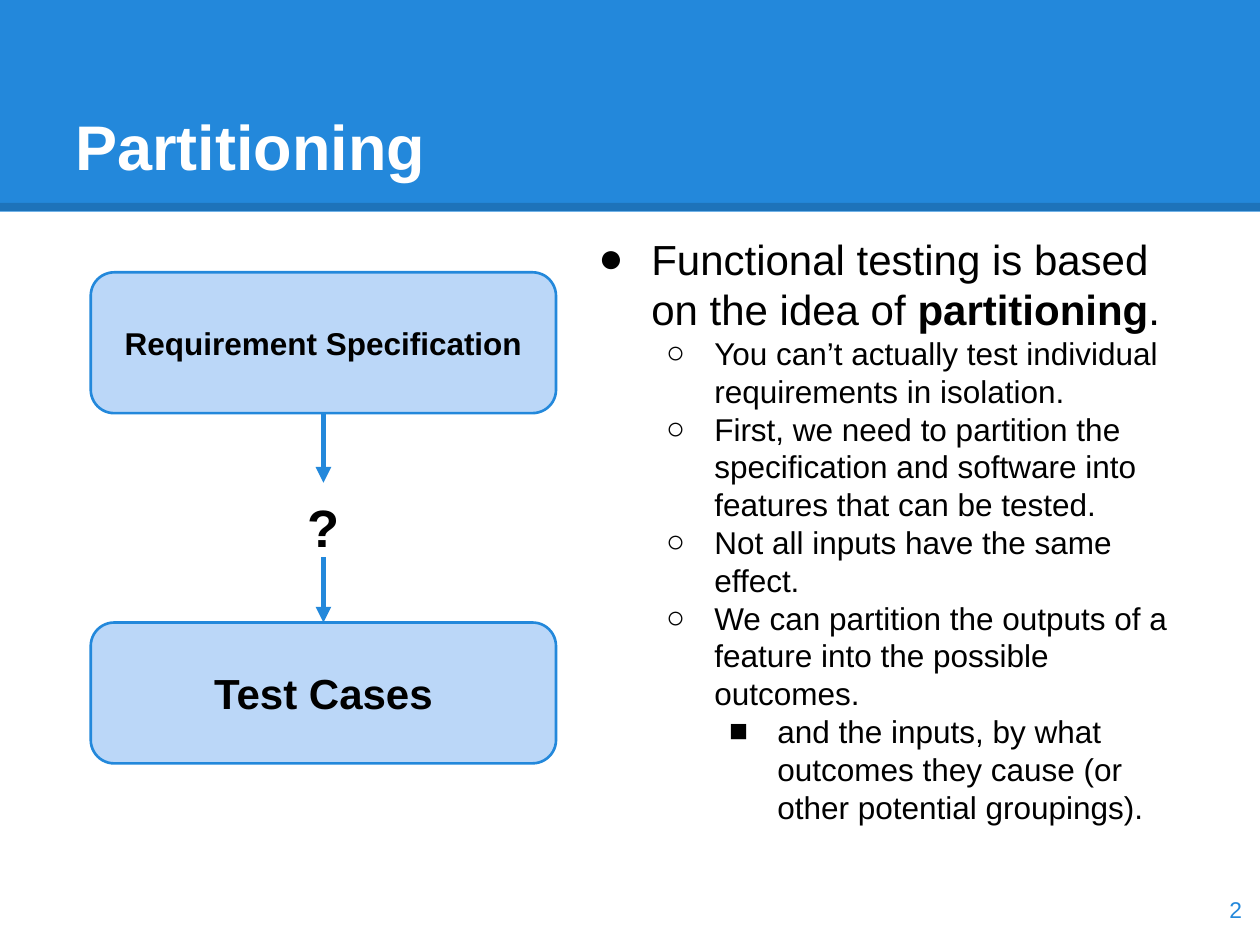
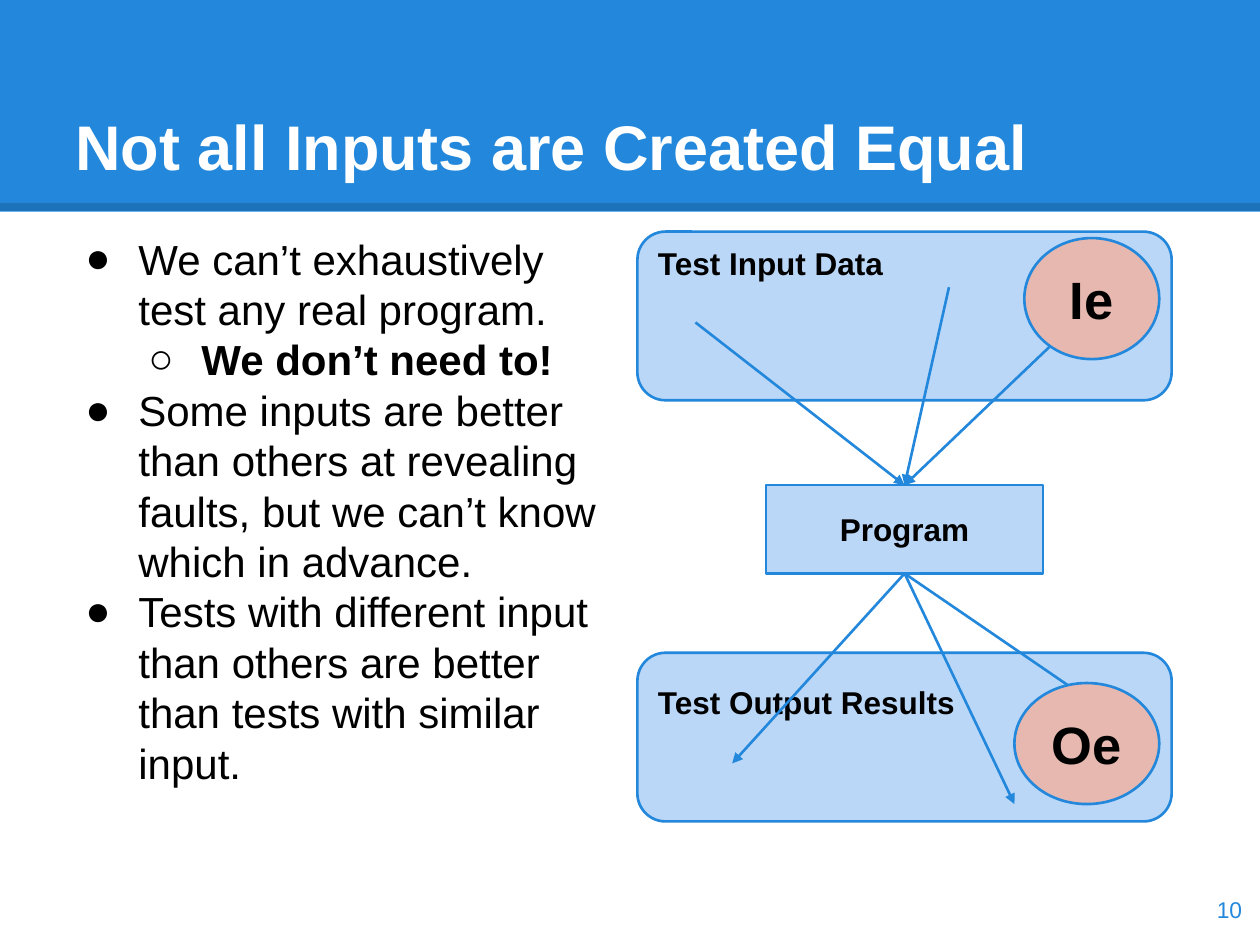
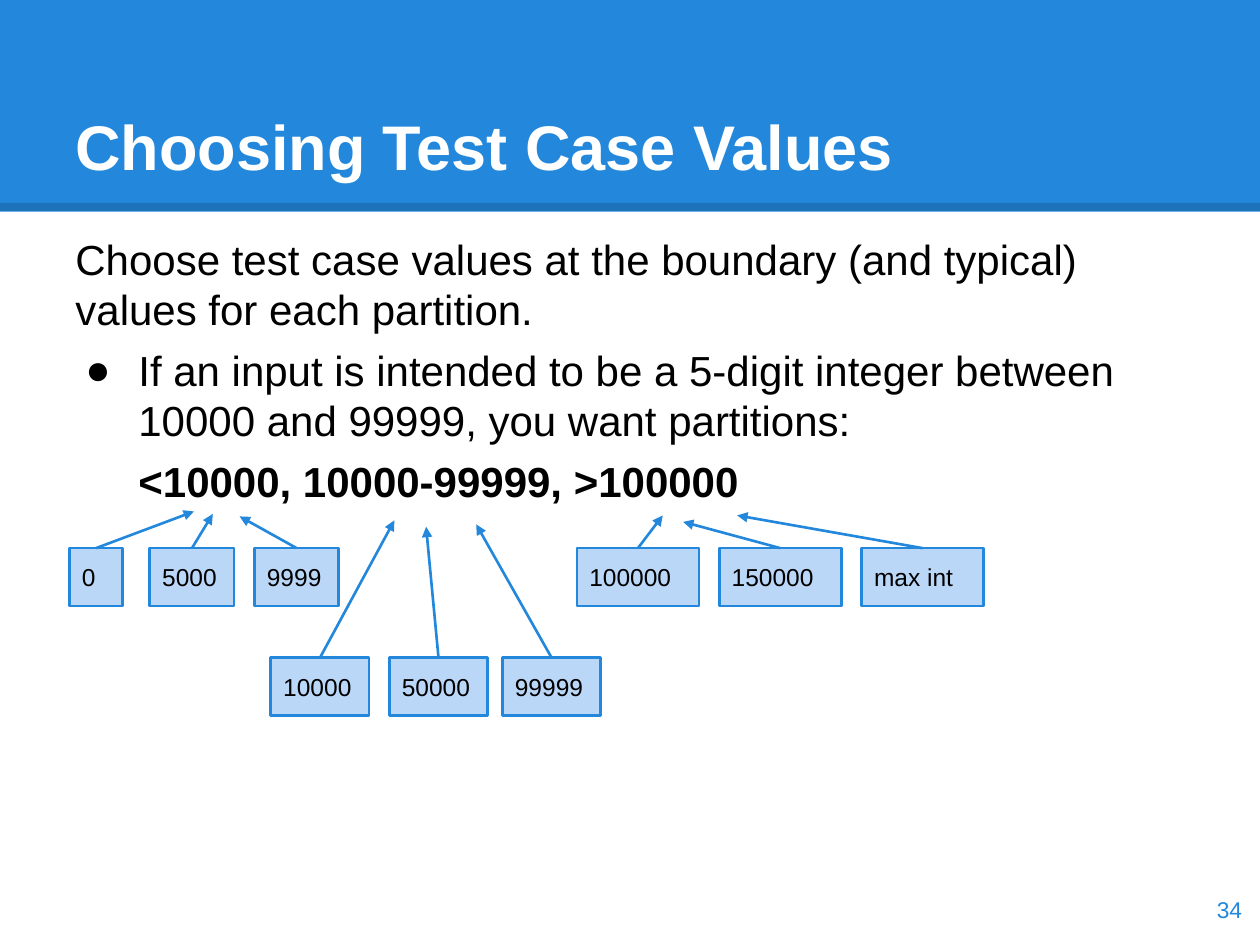
from dataclasses import dataclass
from typing import Any, NamedTuple, Optional

import lxml.etree
import pptx
import pptx.dml.color
import pptx.enum.shapes
import pptx.enum.text
import pptx.oxml.ns
import pptx.util

Cm = pptx.util.Cm
Pt = pptx.util.Pt
qn = pptx.oxml.ns.qn
Outline = pptx.enum.shapes.MSO_SHAPE
Anchor = pptx.enum.text.MSO_ANCHOR
Align = pptx.enum.text.PP_ALIGN
TOP, BOTTOM = 0, 2


@dataclass(frozen=True)
class Theme:
    font: str = "Arial"
    accent: str = "2388DB"
    pale: str = "BBD7F8"
    error: str = "E6B8AF"
    ink: str = "000000"
    paper: str = "FFFFFF"
    title: float = 36
    symbol: float = 30
    lead: float = 24
    detail: float = 18
    value: float = 14
    page: float = 13
    outline: float = 1.5
    heavy: float = 3
    edge: float = 4.5
    edge_alpha: str = "15000"
    leading: float = 1.2
    inset: float = 0.25


THEME = Theme()


class Box(NamedTuple):
    left: float
    top: float
    width: float
    height: float

    def lengths(self) -> list[int]:
        return [Cm(side) for side in self]


class Point(NamedTuple):
    x: float
    y: float


class Joint(NamedTuple):
    shape: Any
    site: int


class Span(NamedTuple):
    text: str
    bold: bool = False


@dataclass(frozen=True)
class Item:
    spans: tuple[Span, ...]
    level: int = 0
    bullet: str = ""
    margin: float = 0
    indent: float = 0
    size: float = THEME.lead
    before: float = 0


@dataclass(frozen=True)
class Node:
    text: str
    box: Box
    outline: Any = Outline.RECTANGLE
    fill: str = THEME.pale
    size: float = THEME.detail
    bold: bool = True
    align: Any = Align.CENTER
    anchor: Any = Anchor.MIDDLE
    inset_top: float = THEME.inset


class Value(NamedTuple):
    text: str
    left: float
    width: float
    top: float
    tip: Point


def rgb(code: str) -> pptx.dml.color.RGBColor:
    return pptx.dml.color.RGBColor.from_string(code)


def assign(target: Any, values: dict[str, Any]) -> None:
    for name, value in values.items():
        setattr(target, name, value)


def format_font(font: Any, size: float, color: str, bold: bool = False) -> None:
    assign(font, {"name": THEME.font, "size": Pt(size), "bold": bold})
    font.color.rgb = rgb(color)


def format_frame(frame: Any, anchor: Any, inset_top: float = THEME.inset) -> None:
    assign(frame, {
        "word_wrap": True,
        "auto_size": pptx.enum.text.MSO_AUTO_SIZE.NONE,
        "vertical_anchor": anchor,
        "margin_left": Cm(THEME.inset),
        "margin_right": Cm(THEME.inset),
        "margin_top": Cm(inset_top),
        "margin_bottom": Cm(THEME.inset),
    })


def write_line(frame: Any, text: str, size: float, color: str,
               bold: bool, align: Any) -> None:
    paragraph = frame.paragraphs[0]
    assign(paragraph, {"alignment": align, "space_before": Pt(0)})
    run = paragraph.add_run()
    run.text = text
    format_font(run.font, size, color, bold)


def place(shape: Any, box: Box) -> None:
    assign(shape, dict(zip(("left", "top", "width", "height"), box.lengths())))


def add_label(slide: Any, text: str, box: Box, size: float, color: str,
              bold: bool, align: Any, anchor: Any) -> Any:
    label = slide.shapes.add_textbox(*box.lengths())
    format_frame(label.text_frame, anchor)
    write_line(label.text_frame, text, size, color, bold, align)
    return label


def add_node(slide: Any, node: Node) -> Any:
    shape = slide.shapes.add_shape(node.outline, *node.box.lengths())
    shape.shadow.inherit = False
    shape.fill.solid()
    shape.fill.fore_color.rgb = rgb(node.fill)
    shape.line.color.rgb = rgb(THEME.accent)
    shape.line.width = Pt(THEME.outline)
    format_frame(shape.text_frame, node.anchor, node.inset_top)
    write_line(shape.text_frame, node.text, node.size, THEME.ink, node.bold, node.align)
    return shape


def add_line(slide: Any, start: Point | Joint, end: Point | Joint,
             color: str, width: float) -> Any:
    ends = [Point(0, 0) if isinstance(place_, Joint) else place_ for place_ in (start, end)]
    line = slide.shapes.add_connector(
        pptx.enum.shapes.MSO_CONNECTOR.STRAIGHT,
        *(Cm(length) for point in ends for length in point))
    if isinstance(start, Joint):
        line.begin_connect(*start)
    if isinstance(end, Joint):
        line.end_connect(*end)
    line.line.color.rgb = rgb(color)
    line.line.width = Pt(width)
    lxml.etree.SubElement(line.element.spPr, qn("a:effectLst"))
    return line


def add_arrow(slide: Any, start: Point | Joint, end: Point | Joint,
              width: float = THEME.outline) -> None:
    arrow = add_line(slide, start, end, THEME.accent, width)
    stroke = arrow.element.spPr.find(qn("a:ln"))
    lxml.etree.SubElement(stroke, qn("a:tailEnd"), type="triangle")


def add_bullet(paragraph: Any, item: Item) -> None:
    properties = paragraph._p.get_or_add_pPr()
    properties.set("marL", str(Cm(item.margin)))
    properties.set("indent", str(Cm(item.indent)))
    if not item.bullet:
        lxml.etree.SubElement(properties, qn("a:buNone"))
        return
    color = lxml.etree.SubElement(properties, qn("a:buClr"))
    lxml.etree.SubElement(color, qn("a:srgbClr"), val=THEME.ink)
    lxml.etree.SubElement(properties, qn("a:buFont"), typeface=THEME.font)
    lxml.etree.SubElement(properties, qn("a:buChar"), char=item.bullet)


def fill_body(slide: Any, box: Box, items: list[Item]) -> None:
    body = slide.placeholders[1]
    place(body, box)
    frame = body.text_frame
    format_frame(frame, Anchor.TOP)
    for index, item in enumerate(items):
        paragraph = frame.add_paragraph() if index else frame.paragraphs[0]
        add_bullet(paragraph, item)
        assign(paragraph, {
            "level": item.level,
            "alignment": Align.LEFT,
            "line_spacing": Pt(item.size * THEME.leading),
            "space_before": Pt(item.before),
            "space_after": Pt(0),
        })
        for span in item.spans:
            run = paragraph.add_run()
            run.text = span.text
            format_font(run.font, item.size, THEME.ink, span.bold)


def bullet(*spans: Span, level: int = 0, size: float = THEME.lead,
           before: float = 0) -> Item:
    hang = -1.07 if size == THEME.lead else -0.97
    return Item(spans, level, "●○■"[level], 1.27 * (level + 1), hang, size, before)


def add_band(slide: Any, layout: Any) -> None:
    band = slide.shapes.add_shape(Outline.RECTANGLE, *Box(0, 0, 25.4, 4.27).lengths())
    band.shadow.inherit = False
    band.fill.solid()
    band.fill.fore_color.rgb = rgb(THEME.accent)
    band.line.fill.background()
    edge = add_line(slide, Point(0, 4.17), Point(25.4, 4.17), THEME.ink, THEME.edge)
    ink = edge.element.spPr.find(".//" + qn("a:srgbClr"))
    lxml.etree.SubElement(ink, qn("a:alpha"), val=THEME.edge_alpha)
    for position, part in enumerate((band, edge), start=2):
        layout.shapes.element.insert(position, part.element)


def add_page(deck: Any, title: str, number: str) -> Any:
    layout = deck.slide_layouts[1]
    slide = deck.slides.add_slide(layout)
    if len(deck.slides) == 1:
        add_band(slide, layout)
    heading = slide.shapes.title
    place(heading, Box(1.27, 0.76, 22.86, 3.18))
    format_frame(heading.text_frame, Anchor.BOTTOM)
    write_line(heading.text_frame, title, THEME.title, THEME.paper, True, Align.LEFT)
    add_label(slide, number, Box(23.77, 17.6, 1.52, 1.45), THEME.page,
              THEME.accent, False, Align.RIGHT, Anchor.MIDDLE)
    return slide


def build_partitioning(deck: Any) -> None:
    slide = add_page(deck, "Partitioning", "2")
    requirements = add_node(slide, Node(
        "Requirement Specification", Box(1.83, 5.49, 9.38, 2.84), Outline.ROUNDED_RECTANGLE))
    cases = add_node(slide, Node(
        "Test Cases", Box(1.83, 12.55, 9.38, 2.84), Outline.ROUNDED_RECTANGLE,
        size=THEME.lead))
    question = add_label(slide, "?", Box(5.69, 9.73, 1.66, 1.42), THEME.symbol,
                         THEME.ink, True, Align.CENTER, Anchor.TOP)
    add_arrow(slide, Joint(requirements, BOTTOM), Joint(question, TOP), THEME.heavy)
    add_arrow(slide, Point(6.52, 11.23), Joint(cases, TOP), THEME.heavy)
    details = [
        (1, "You can’t actually test individual requirements in isolation."),
        (1, "First, we need to partition the specification and software into "
            "features that can be tested."),
        (1, "Not all inputs have the same effect."),
        (1, "We can partition the outputs of a feature into the possible outcomes."),
        (2, "and the inputs, by what outcomes they cause (or other potential groupings)."),
    ]
    fill_body(slide, Box(11.61, 4.45, 12.52, 13.79), [
        bullet(Span("Functional testing is based on the idea of "),
               Span("partitioning", True), Span(".")),
        *(bullet(Span(text), level=level, size=THEME.detail) for level, text in details),
    ])


def build_inputs(deck: Any) -> None:
    slide = add_page(deck, "Not all Inputs are Created Equal", "10")
    fill_body(slide, Box(1.27, 4.45, 11.1, 13.79), [
        bullet(Span("We can’t exhaustively test any real program.")),
        bullet(Span("We don’t need to!", True), level=1),
        bullet(Span("Some inputs are better than others at revealing faults, "
                    "but we can’t know which in advance.")),
        bullet(Span("Tests with different input than others are better than "
                    "tests with similar input.")),
    ])
    for text, top, inset in (("Test Input Data", 4.67, 0.08),
                             ("Test Output Results", 13.16, 0.44)):
        add_node(slide, Node(text, Box(12.85, top, 10.77, 3.4), Outline.ROUNDED_RECTANGLE,
                             align=Align.LEFT, anchor=Anchor.TOP, inset_top=inset))
    program = add_node(slide, Node("Program", Box(15.44, 9.78, 5.59, 1.78)))
    for source in (Point(14.02, 6.5), Point(19.13, 5.79), Point(22.07, 6.12)):
        add_arrow(slide, source, Joint(program, TOP))
    for result in (Point(14.76, 15.39), Point(20.45, 16.21), Point(22.94, 14.78)):
        add_arrow(slide, Joint(program, BOTTOM), result)
    for text, box in (("Ie", Box(20.65, 4.8, 2.72, 2.44)),
                      ("Oe", Box(20.45, 13.77, 2.92, 2.44))):
        add_node(slide, Node(text, box, Outline.OVAL, THEME.error, THEME.symbol))


def build_values(deck: Any) -> None:
    slide = add_page(deck, "Choosing Test Case Values", "34")
    fill_body(slide, Box(1.27, 4.45, 22.86, 2.59), [
        Item((Span("Choose test case values at the boundary (and typical) "
                   "values for each partition."),)),
        bullet(Span("If an input is intended to be a 5-digit integer between "
                    "10000 and 99999, you want partitions:"), before=6),
        Item((Span("<10000, 10000-99999, >100000", True),), indent=1.27, before=6),
    ])
    outside, inside = 11.05, 13.26
    above_left, above_step = 11.63, 2.87
    above = (("100000", Point(13.36, 10.39)), ("150000", Point(13.77, 10.52)),
             ("max int", Point(14.86, 10.39)))
    values = [
        Value("0", 1.4, 1.07, outside, Point(3.91, 10.31)),
        Value("5000", 3.02, 1.7, outside, Point(4.29, 10.36)),
        Value("9999", 5.13, 1.7, outside, Point(4.83, 10.41)),
        Value("10000", 5.46, 1.98, inside, Point(7.95, 10.49)),
        Value("50000", 7.85, 1.98, inside, Point(8.59, 10.62)),
        Value("99999", 10.13, 1.98, inside, Point(9.6, 10.57)),
        *(Value(text, above_left + above_step * column, 2.46, outside, tip)
          for column, (text, tip) in enumerate(above)),
    ]
    for value in values:
        chosen = add_node(slide, Node(
            value.text, Box(value.left, value.top, value.width, 1.17),
            size=THEME.value, bold=False, align=Align.LEFT))
        add_arrow(slide, Joint(chosen, TOP), value.tip)


def main() -> None:
    deck = pptx.Presentation()
    assign(deck, {"slide_width": Cm(25.4), "slide_height": Cm(19.05)})
    build_partitioning(deck)
    build_inputs(deck)
    build_values(deck)
    deck.save("out.pptx")


if __name__ == "__main__":
    main()
